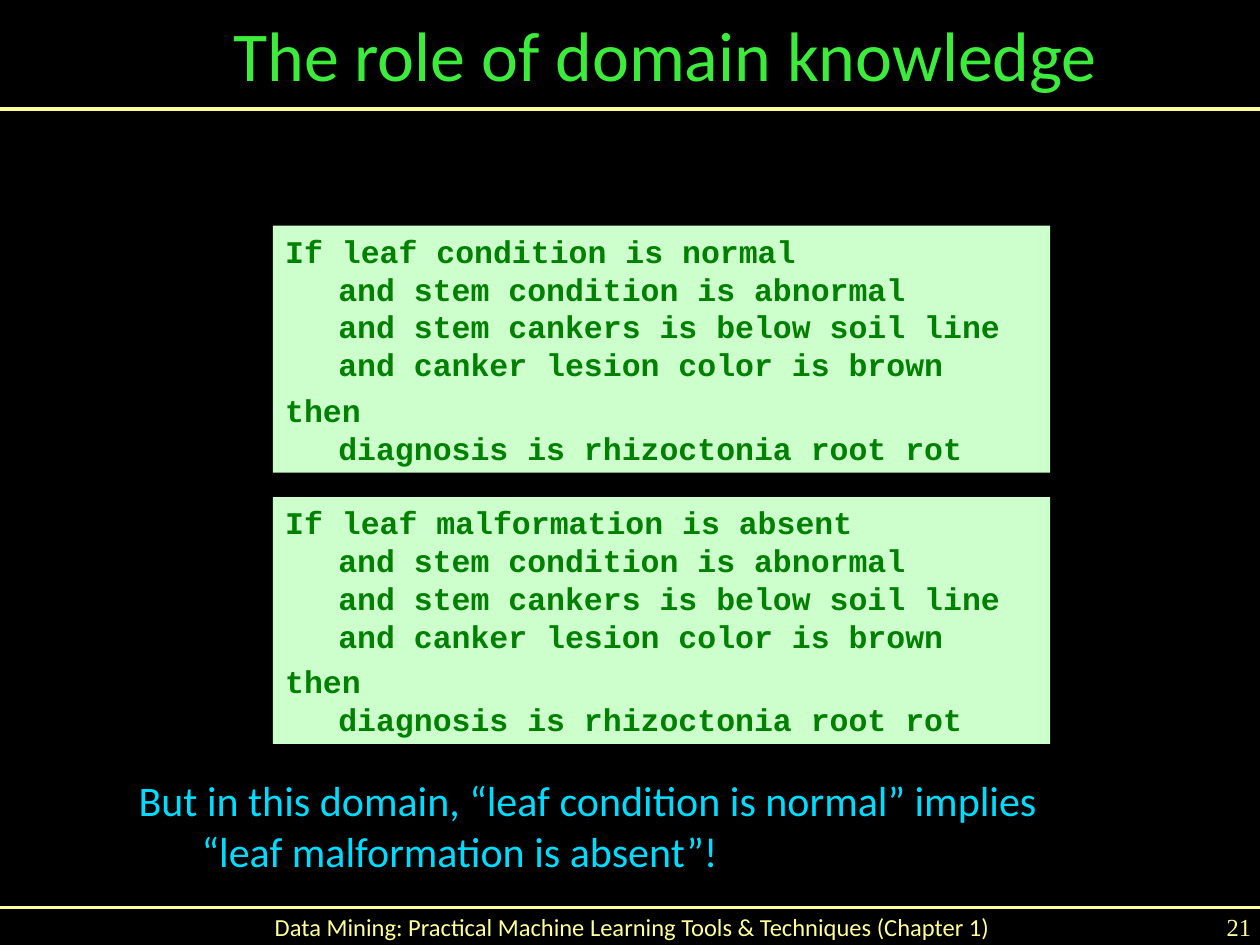
"""Builds the slide on domain knowledge in rule learning."""
import pptx
import pptx.util
import pptx.dml.color
import pptx.enum.shapes
import pptx.enum.text
import pptx.oxml.ns
from lxml import etree

Cm, Pt = pptx.util.Cm, pptx.util.Pt
RGB = pptx.dml.color.RGBColor
ALIGN = pptx.enum.text.PP_ALIGN
ANCHOR = pptx.enum.text.MSO_ANCHOR
qn = pptx.oxml.ns.qn

BLACK = RGB(0x00, 0x00, 0x00)
YELLOW = RGB(0xFF, 0xFF, 0x99)
TITLE_GREEN = RGB(0x3D, 0xEB, 0x3D)
PANEL_GREEN = RGB(0xCC, 0xFF, 0xCC)
CODE_GREEN = RGB(0x00, 0x80, 0x00)
CYAN = RGB(0x00, 0xDC, 0xFF)

SHARED_CONDITIONS = [
    "and stem condition is abnormal",
    "and stem cankers is below soil line",
    "and canker lesion color is brown",
]
CONCLUSION = ["then", "diagnosis is rhizoctonia root rot"]


def place(shape, left, top, width, height):
    shape.left, shape.top = Cm(left), Cm(top)
    shape.width, shape.height = Cm(width), Cm(height)


def write_lines(paragraph, lines, font, size, color, bold=False):
    for index, line in enumerate(lines):
        if index:
            paragraph.add_line_break()
        run = paragraph.add_run()
        run.text = line
        run.font.name, run.font.size, run.font.bold = font, Pt(size), bold
        run.font.color.rgb = color


def hang(paragraph, indent, before):
    paragraph.alignment = ALIGN.LEFT
    paragraph.space_before = Pt(before)
    properties = paragraph._p.get_or_add_pPr()
    properties.set("marL", str(Cm(indent)))
    properties.set("indent", str(-Cm(indent)))
    etree.SubElement(properties, qn("a:buNone"))


def add_rule_line(slide, top):
    line = slide.shapes.add_connector(
        pptx.enum.shapes.MSO_CONNECTOR.STRAIGHT, Cm(0), Cm(top), Cm(25.5), Cm(top))
    line.line.color.rgb = YELLOW
    line.line.width = Pt(2)
    etree.SubElement(line._element.spPr, qn("a:effectLst"))


def add_footer(slide, left, width, text, font, alignment):
    footer = slide.shapes.add_textbox(Cm(left), Cm(18.39), Cm(width), Cm(0.66))
    frame = footer.text_frame
    frame.word_wrap = True
    frame.margin_left = frame.margin_right = frame.margin_top = frame.margin_bottom = 0
    frame.paragraphs[0].alignment = alignment
    write_lines(frame.paragraphs[0], [text], font, 14, YELLOW)


def add_rule_panel(slide, top, first_condition):
    panel = slide.shapes.add_shape(
        pptx.enum.shapes.MSO_SHAPE.RECTANGLE, Cm(5.5), Cm(top), Cm(15.67), Cm(4.98))
    panel.shadow.inherit = False
    panel.fill.solid()
    panel.fill.fore_color.rgb = PANEL_GREEN
    panel.line.fill.background()
    frame = panel.text_frame
    frame.word_wrap = True
    frame.vertical_anchor = ANCHOR.TOP
    premise, conclusion = frame.paragraphs[0], frame.add_paragraph()
    for paragraph, lines in ((premise, [first_condition] + SHARED_CONDITIONS),
                             (conclusion, CONCLUSION)):
        hang(paragraph, 1.07, 4.5)
        write_lines(paragraph, lines, "Courier New", 18, CODE_GREEN, bold=True)


def fill_title(title):
    place(title, 4.45, -0.51, 21.25, 3.18)
    title.text_frame.auto_size = pptx.enum.text.MSO_AUTO_SIZE.NONE
    title.text_frame.vertical_anchor = ANCHOR.MIDDLE
    heading = title.text_frame.paragraphs[0]
    heading.alignment = ALIGN.LEFT
    write_lines(heading, ["The role of domain knowledge"], "Calibri", 40, TITLE_GREEN)


def fill_body(body):
    place(body, 2.54, 15.49, 22.86, 2.49)
    body.text_frame.auto_size = pptx.enum.text.MSO_AUTO_SIZE.NONE
    remark = body.text_frame.paragraphs[0]
    hang(remark, 1.27, 6)
    write_lines(remark, ["But in this domain, “leaf condition is normal” implies",
                         "“leaf malformation is absent”!"], "Calibri", 24, CYAN)


def main():
    deck = pptx.Presentation()
    deck.slide_width, deck.slide_height = Cm(25.4), Cm(19.05)
    slide = deck.slides.add_slide(deck.slide_layouts[1])
    slide.background.fill.solid()
    slide.background.fill.fore_color.rgb = BLACK
    for top in (2.2, 18.29):
        add_rule_line(slide, top)
    add_footer(slide, 22.1, 3.12, "21", "Times New Roman", ALIGN.RIGHT)
    add_footer(slide, 4, 17.5,
               "Data Mining: Practical Machine Learning Tools & Techniques (Chapter 1)",
               "Calibri", ALIGN.CENTER)
    fill_title(slide.shapes.title)
    add_rule_panel(slide, 4.55, "If leaf condition is normal")
    add_rule_panel(slide, 10.02, "If leaf malformation is absent")
    fill_body(slide.placeholders[1])
    deck.save("out.pptx")


if __name__ == "__main__":
    main()
